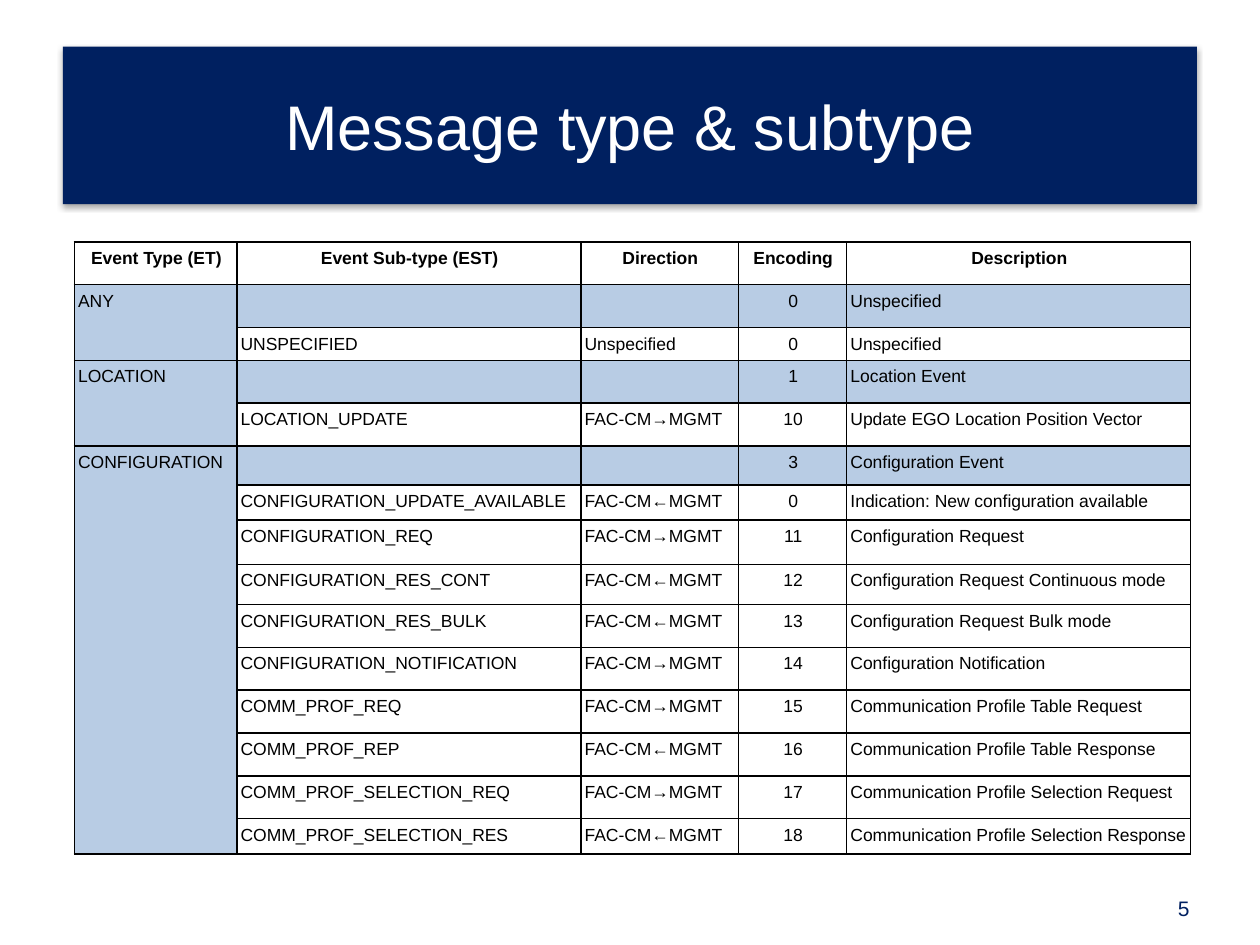
import lxml.etree
import pptx
import pptx.dml.color
import pptx.enum.shapes
import pptx.enum.text
import pptx.oxml.ns
import pptx.util

Inches = pptx.util.Inches
Pt = pptx.util.Pt
RGBColor = pptx.dml.color.RGBColor
Align = pptx.enum.text.PP_ALIGN
qn = pptx.oxml.ns.qn

NAVY = RGBColor(0x00, 0x20, 0x60)
PALE_BLUE = RGBColor(0xB8, 0xCC, 0xE4)
WHITE = RGBColor(0xFF, 0xFF, 0xFF)
BLACK = RGBColor(0x00, 0x00, 0x00)
FONT = "Arial"
TABLE_SIZE = 10

TITLE = "Message type & subtype"
PAGE_NUMBER = "5"
HEADER = ("Event Type (ET)", "Event Sub-type (EST)", "Direction", "Encoding", "Description")
TO_MGMT = "FAC-CM→MGMT"
FROM_MGMT = "FAC-CM←MGMT"
EVENTS = [
    ("ANY", "0", "Unspecified", [
        ("UNSPECIFIED", "Unspecified", "0", "Unspecified"),
    ]),
    ("LOCATION", "1", "Location Event", [
        ("LOCATION_UPDATE", TO_MGMT, "10", "Update EGO Location Position Vector"),
    ]),
    ("CONFIGURATION", "3", "Configuration Event", [
        ("CONFIGURATION_UPDATE_AVAILABLE", FROM_MGMT, "0", "Indication: New configuration available"),
        ("CONFIGURATION_REQ", TO_MGMT, "11", "Configuration Request"),
        ("CONFIGURATION_RES_CONT", FROM_MGMT, "12", "Configuration Request Continuous mode"),
        ("CONFIGURATION_RES_BULK", FROM_MGMT, "13", "Configuration Request Bulk mode"),
        ("CONFIGURATION_NOTIFICATION", TO_MGMT, "14", "Configuration Notification"),
        ("COMM_PROF_REQ", TO_MGMT, "15", "Communication Profile Table Request"),
        ("COMM_PROF_REP", FROM_MGMT, "16", "Communication Profile Table Response"),
        ("COMM_PROF_SELECTION_REQ", TO_MGMT, "17", "Communication Profile Selection Request"),
        ("COMM_PROF_SELECTION_RES", FROM_MGMT, "18", "Communication Profile Selection Response"),
    ]),
]
COLUMN_WIDTHS = (1.29, 2.73, 1.25, 0.86, 2.73)
ROW_HEIGHT = 0.34
SPECIAL_HEIGHTS = {2: 0.26, 5: 0.31, 6: 0.28, 7: 0.35, 8: 0.32, 14: 0.28}
ENCODING_COLUMN = HEADER.index("Encoding")


def write(para, text, size, color, align=Align.LEFT, bold=False):
    para.alignment = align
    span = para.add_run()
    span.text = text
    span.font.name = FONT
    span.font.size = Pt(size)
    span.font.bold = bold
    span.font.color.rgb = color


def add_shadow(shape):
    effects = shape._element.spPr.find(qn("a:effectLst"))
    shadow = lxml.etree.SubElement(effects, qn("a:outerShdw"), blurRad=str(Pt(3.1)),
                                   dist=str(Pt(1.8)), dir="5400000", rotWithShape="0")
    color = lxml.etree.SubElement(shadow, qn("a:srgbClr"), val=str(BLACK))
    lxml.etree.SubElement(color, qn("a:alpha"), val="35000")


def add_borders(cell):
    properties = cell._tc.get_or_add_tcPr()
    for position, side in enumerate(("lnL", "lnR", "lnT", "lnB")):
        line = lxml.etree.Element(qn("a:" + side), w=str(Pt(1)))
        fill = lxml.etree.SubElement(line, qn("a:solidFill"))
        lxml.etree.SubElement(fill, qn("a:srgbClr"), val=str(BLACK))
        properties.insert(position, line)


def fill_cell(cell, text, color, align, bold):
    cell.margin_left = cell.margin_top = cell.margin_bottom = Inches(0.03)
    cell.margin_right = Inches(0.02)
    cell.fill.solid()
    cell.fill.fore_color.rgb = color
    add_borders(cell)
    para = cell.text_frame.paragraphs[0]
    para.line_spacing = 1.15
    if text:
        write(para, text, TABLE_SIZE, BLACK, align, bold)
    else:
        lxml.etree.SubElement(para._p, qn("a:endParaRPr"), sz=str(TABLE_SIZE * 100))


def add_title(page):
    box = page.shapes.add_shape(pptx.enum.shapes.MSO_SHAPE.RECTANGLE,
                                Inches(0.5), Inches(0.37), Inches(9), Inches(1.25))
    box.shadow.inherit = False
    add_shadow(box)
    box.fill.solid()
    box.fill.fore_color.rgb = NAVY
    box.line.fill.background()
    box.text_frame.vertical_anchor = pptx.enum.text.MSO_ANCHOR.MIDDLE
    write(box.text_frame.paragraphs[0], TITLE, 36, WHITE, Align.CENTER)


def add_event_table(page):
    rows = [HEADER]
    groups = []
    for event, code, description, subtypes in EVENTS:
        groups.append((len(rows), len(rows) + len(subtypes)))
        rows.append((event, "", "", code, description))
        rows += [("",) + subtype for subtype in subtypes]
    heights = [SPECIAL_HEIGHTS.get(index, ROW_HEIGHT) for index in range(len(rows))]
    group_starts = [first for first, last in groups]

    table = page.shapes.add_table(len(rows), len(HEADER), Inches(0.59), Inches(1.92),
                                  Inches(sum(COLUMN_WIDTHS)), Inches(sum(heights))).table
    table.horz_banding = False
    for column, width in zip(table.columns, COLUMN_WIDTHS):
        column.width = Inches(width)
    for r, (values, height) in enumerate(zip(rows, heights)):
        table.rows[r].height = Inches(height)
        for c, value in enumerate(values):
            shaded = r in group_starts or (r > 0 and c == 0)
            centred = r == 0 or c == ENCODING_COLUMN
            fill_cell(table.cell(r, c), value, PALE_BLUE if shaded else WHITE,
                      Align.CENTER if centred else Align.LEFT, r == 0)
    for first, last in groups:
        table.cell(first, 0).merge(table.cell(last, 0))


def add_page_number(page):
    box = page.shapes.add_textbox(Inches(9.25), Inches(7.06), Inches(0.55), Inches(0.3))
    box.text_frame.word_wrap = True
    write(box.text_frame.paragraphs[0], PAGE_NUMBER, 12, NAVY)


def main():
    deck = pptx.Presentation()
    deck.slide_width = Inches(10)
    deck.slide_height = Inches(7.5)
    page = deck.slides.add_slide(deck.slide_layouts[6])
    add_page_number(page)
    add_title(page)
    add_event_table(page)
    deck.save("out.pptx")


if __name__ == "__main__":
    main()
